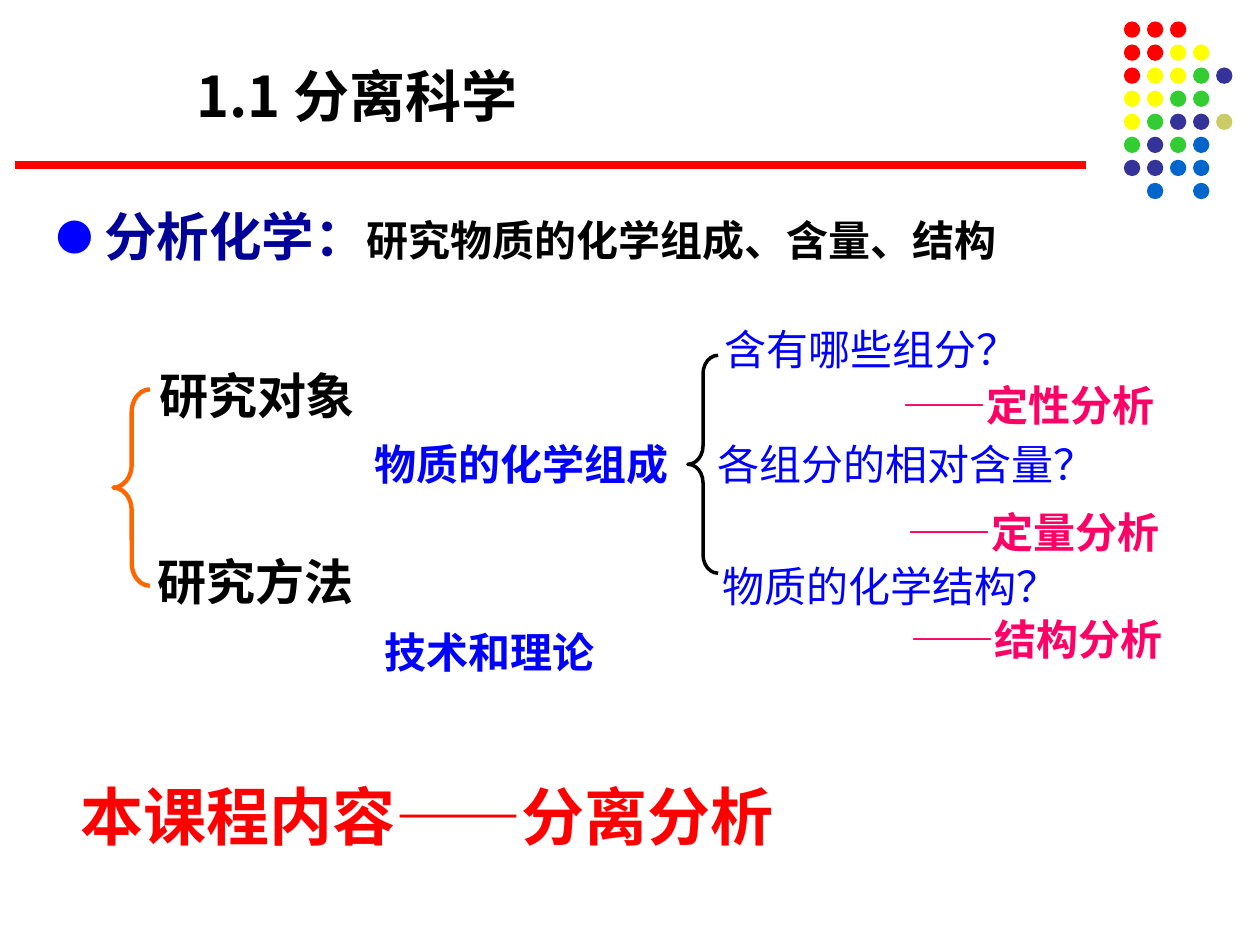
from lxml import etree
from pptx import Presentation
from pptx.dml.color import RGBColor
from pptx.enum.lang import MSO_LANGUAGE_ID
from pptx.enum.shapes import MSO_CONNECTOR, MSO_SHAPE
from pptx.enum.text import MSO_ANCHOR, MSO_AUTO_SIZE, PP_ALIGN
from pptx.oxml.ns import qn
from pptx.util import Inches, Pt

OVAL, LEFT_BRACE = MSO_SHAPE.OVAL, MSO_SHAPE.LEFT_BRACE
STRAIGHT = MSO_CONNECTOR.STRAIGHT
LEFT, CENTER = PP_ALIGN.LEFT, PP_ALIGN.CENTER
TOP, BOTTOM = MSO_ANCHOR.TOP, MSO_ANCHOR.BOTTOM
GROW, FIXED = MSO_AUTO_SIZE.SHAPE_TO_FIT_TEXT, MSO_AUTO_SIZE.NONE
CHINESE = MSO_LANGUAGE_ID.SIMPLIFIED_CHINESE

FONT = "Noto Sans CJK SC"
BLACK = RGBColor(0x00, 0x00, 0x00)
RED = RGBColor(0xFF, 0x00, 0x00)
YELLOW = RGBColor(0xFF, 0xFF, 0x00)
GREEN = RGBColor(0x33, 0xCC, 0x33)
INDIGO = RGBColor(0x33, 0x33, 0x99)
OLIVE = RGBColor(0xCC, 0xCC, 0x66)
AZURE = RGBColor(0x00, 0x66, 0xCC)
BLUE = RGBColor(0x00, 0x00, 0xFF)
NAVY = RGBColor(0x00, 0x00, 0x99)
PINK = RGBColor(0xFF, 0x00, 0x66)
ORANGE = RGBColor(0xFF, 0x66, 0x00)

DOT_COLORS = {"R": RED, "Y": YELLOW, "G": GREEN, "I": INDIGO, "O": OLIVE, "A": AZURE}
DOT_ROWS = ["RRR", "RRYY", "RYYGI", "YYGG", "YGIIO", "GIGA", "IIAA", ".A.A"]


def style_run(run, size, color, bold):
    font = run.font
    font.name, font.size, font.bold = FONT, Pt(size), bold
    font.color.rgb = color
    font.language_id = CHINESE
    latin = run._r.rPr.find(qn("a:latin"))
    east_asian = etree.Element(qn("a:ea"), typeface=FONT)
    latin.addnext(east_asian)


def add_label(slide, box, text, size, color, bold=True, align=LEFT,
              wrap=True, anchor=TOP):
    label = slide.shapes.add_textbox(*map(Inches, box))
    frame = label.text_frame
    frame.word_wrap = wrap
    frame.auto_size = GROW
    frame.vertical_anchor = anchor
    frame.text = text
    paragraph = frame.paragraphs[0]
    paragraph.alignment = align
    style_run(paragraph.runs[0], size, color, bold)


def add_brace(slide, box, curve, color, weight):
    brace = slide.shapes.add_shape(LEFT_BRACE, *map(Inches, box))
    brace.adjustments[0] = curve
    brace.adjustments[1] = 0.5
    brace.shadow.inherit = False
    brace.fill.background()
    brace.line.color.rgb = color
    brace.line.width = Pt(weight)


def add_dot_pattern(slide, left, top, pitch=0.183, diameter=0.13):
    for row, letters in enumerate(DOT_ROWS):
        for column, letter in enumerate(letters):
            if letter not in DOT_COLORS:
                continue
            dot = slide.shapes.add_shape(
                OVAL, Inches(left + column * pitch), Inches(top + row * pitch),
                Inches(diameter), Inches(diameter))
            dot.shadow.inherit = False
            dot.fill.solid()
            dot.fill.fore_color.rgb = DOT_COLORS[letter]
            dot.line.fill.background()


def add_header(slide, box):
    left, top, width, height = box
    rule_y = Inches(top + height)
    rule = slide.shapes.add_connector(
        STRAIGHT, Inches(left), rule_y, Inches(left + width), rule_y)
    rule.line.color.rgb = RED
    rule.line.width = Pt(4.5)
    etree.SubElement(rule._element.spPr, qn("a:effectLst"))
    add_label(slide, (left + 1.34, top + 0.44, 3.55, 0.64), "1.1 分离科学", 32, BLACK)


def add_definition(slide, box):
    definition = slide.shapes.add_textbox(*map(Inches, box))
    frame = definition.text_frame
    frame.word_wrap = True
    frame.auto_size = FIXED
    paragraph = frame.paragraphs[0]

    # Round bullet with a hanging indent
    properties = paragraph._p.get_or_add_pPr()
    properties.set("marL", str(Inches(0.38)))
    properties.set("indent", str(-Inches(0.38)))
    bullet_color = etree.SubElement(properties, qn("a:buClr"))
    etree.SubElement(bullet_color, qn("a:srgbClr"), val=str(BLUE))
    etree.SubElement(properties, qn("a:buSzPct"), val="70000")
    etree.SubElement(properties, qn("a:buFont"), typeface=FONT)
    etree.SubElement(properties, qn("a:buChar"), char="●")
    paragraph.space_after = Pt(6)

    for text, size, color in [("分析化学：", 30, NAVY),
                              ("研究物质的化学组成、含量、结构", 24, BLACK)]:
        run = paragraph.add_run()
        run.text = text
        style_run(run, size, color, True)


def add_research_branches(slide, box):
    left, top, width, height = box
    add_brace(slide, (left, top + 0.24, 0.29, 1.56), 0.63, ORANGE, 2.5)
    add_label(slide, (left + 0.15, top, 1.98, 0.49), "研究对象", 28, BLACK, align=CENTER)
    add_label(slide, (left + 0.25, top + 1.48, 1.89, 0.57), "研究方法", 28, BLACK)
    add_label(slide, (left + 1.97, top + 0.58, 3.31, 0.5), "物质的化学组成", 24, BLUE)
    add_label(slide, (left + 2.05, top + 2.07, 2.25, 0.5), "技术和理论", 24, BLUE)


def add_analysis_questions(slide, box):
    left, top, width, height = box
    add_brace(slide, (left, top + 0.3, 0.24, 1.73), 0.61, BLACK, 2)
    # Question box, then the kind of analysis that answers it
    questions = [
        ("含有哪些组分？", 0.17, 0, 2.57, "——定性分析", 1.6, 0.44),
        ("各组分的相对含量？", 0.11, 0.91, 3.25, "——定量分析", 1.64, 1.45),
        ("物质的化学结构？", 0.15, 1.88, 2.91, "——结构分析", 1.67, 2.3),
    ]
    for question, x, y, question_width, answer, answer_x, answer_y in questions:
        add_label(slide, (left + x, top + y, question_width, 0.51), question, 24,
                  BLUE, bold=False, align=CENTER, wrap=False)
        add_label(slide, (left + answer_x, top + answer_y, 2.2, 0.5), answer, 24,
                  PINK, align=CENTER, wrap=False)


def main():
    presentation = Presentation()
    presentation.slide_width, presentation.slide_height = Inches(10), Inches(7.5)
    slide = presentation.slides.add_slide(presentation.slide_layouts[6])

    add_dot_pattern(slide, 8.92, 0.17)
    add_header(slide, (0.12, 0, 8.5, 1.31))
    add_definition(slide, (0.35, 1.57, 9, 3.98))
    add_research_branches(slide, (0.9, 2.85, 5.28, 2.57))
    add_analysis_questions(slide, (5.46, 2.52, 3.87, 2.8))
    # Course topic
    add_label(slide, (0.54, 6.11, 8.28, 0.71), "本课程内容——分离分析", 36, RED,
              anchor=BOTTOM)
    presentation.save("out.pptx")


if __name__ == "__main__":
    main()
